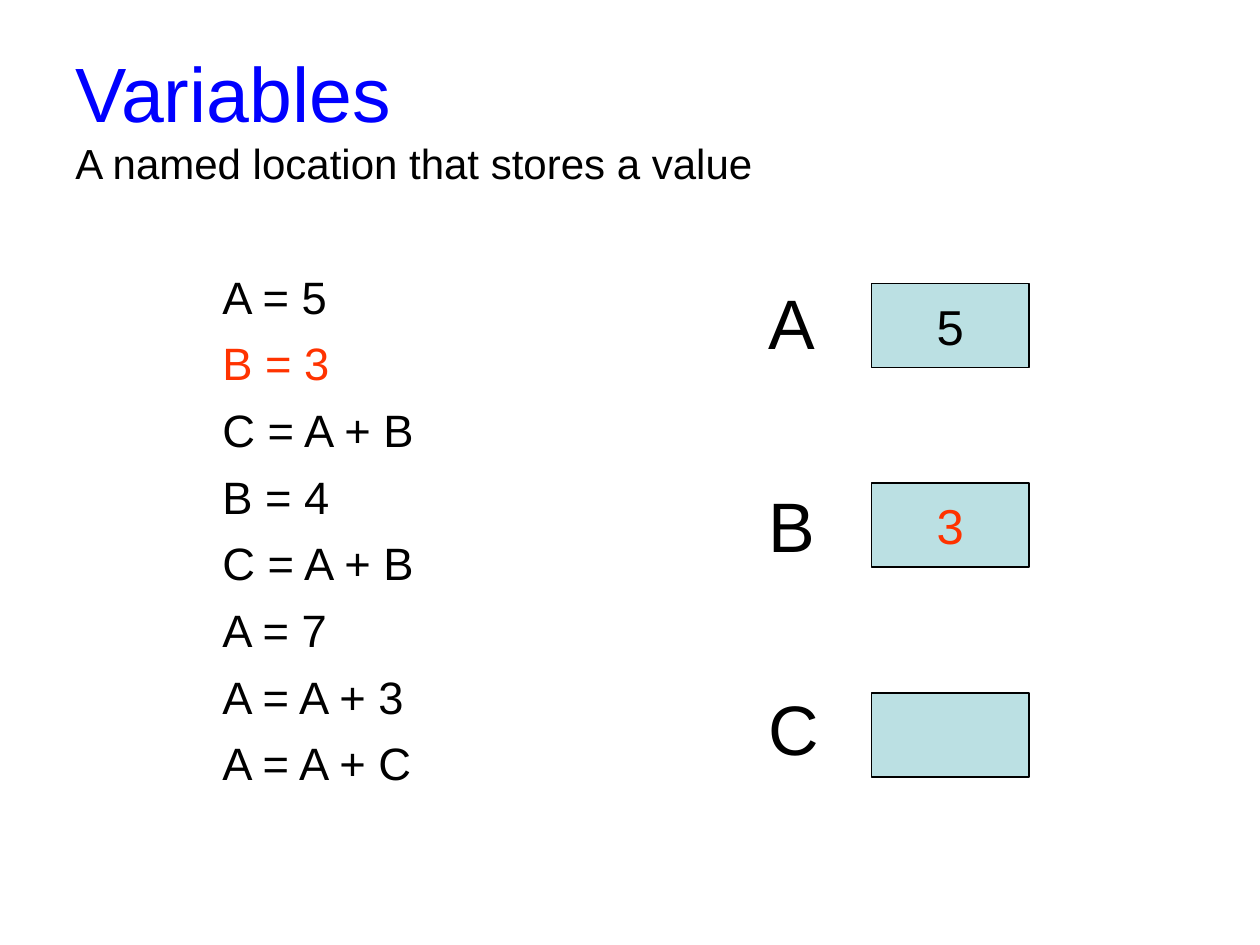
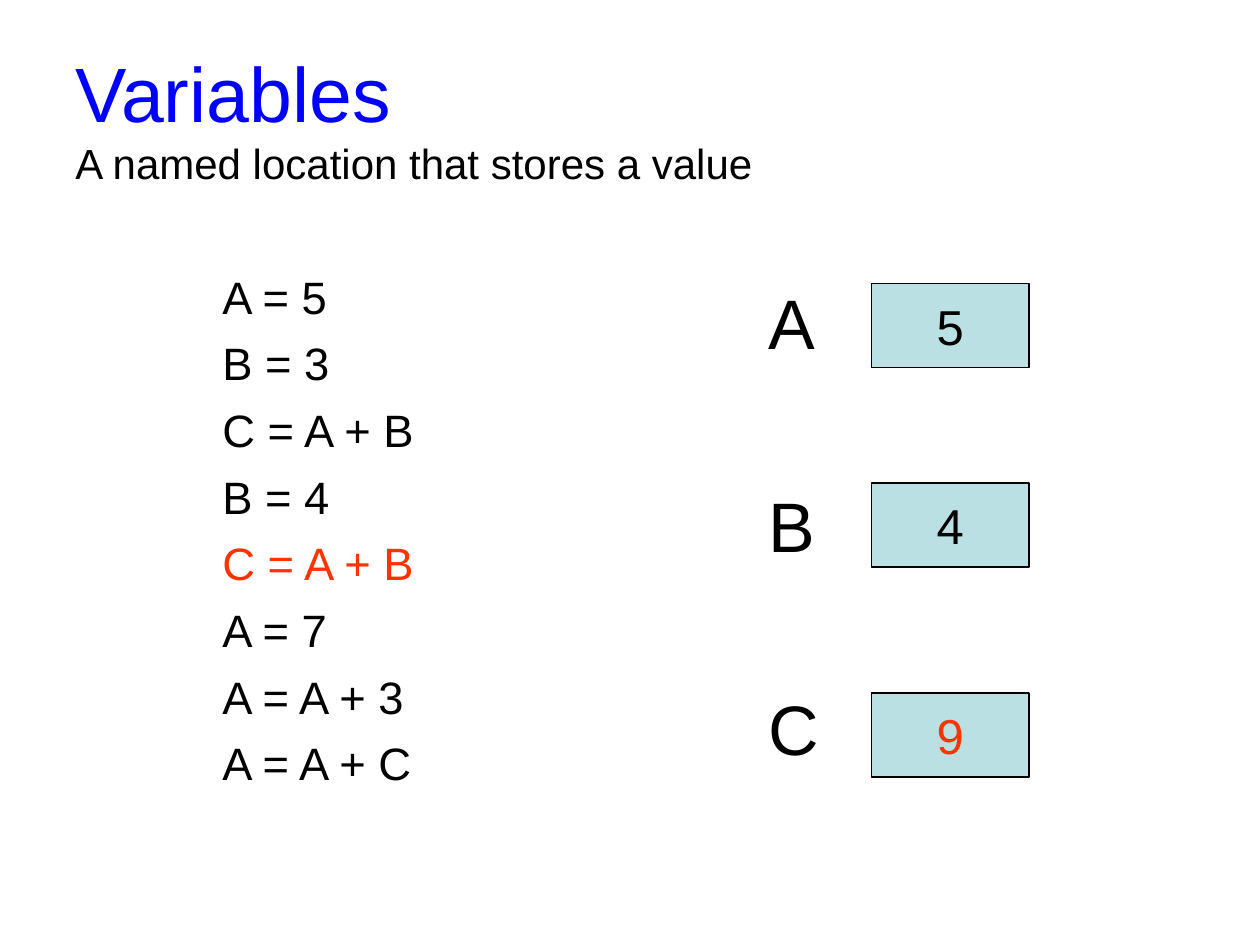
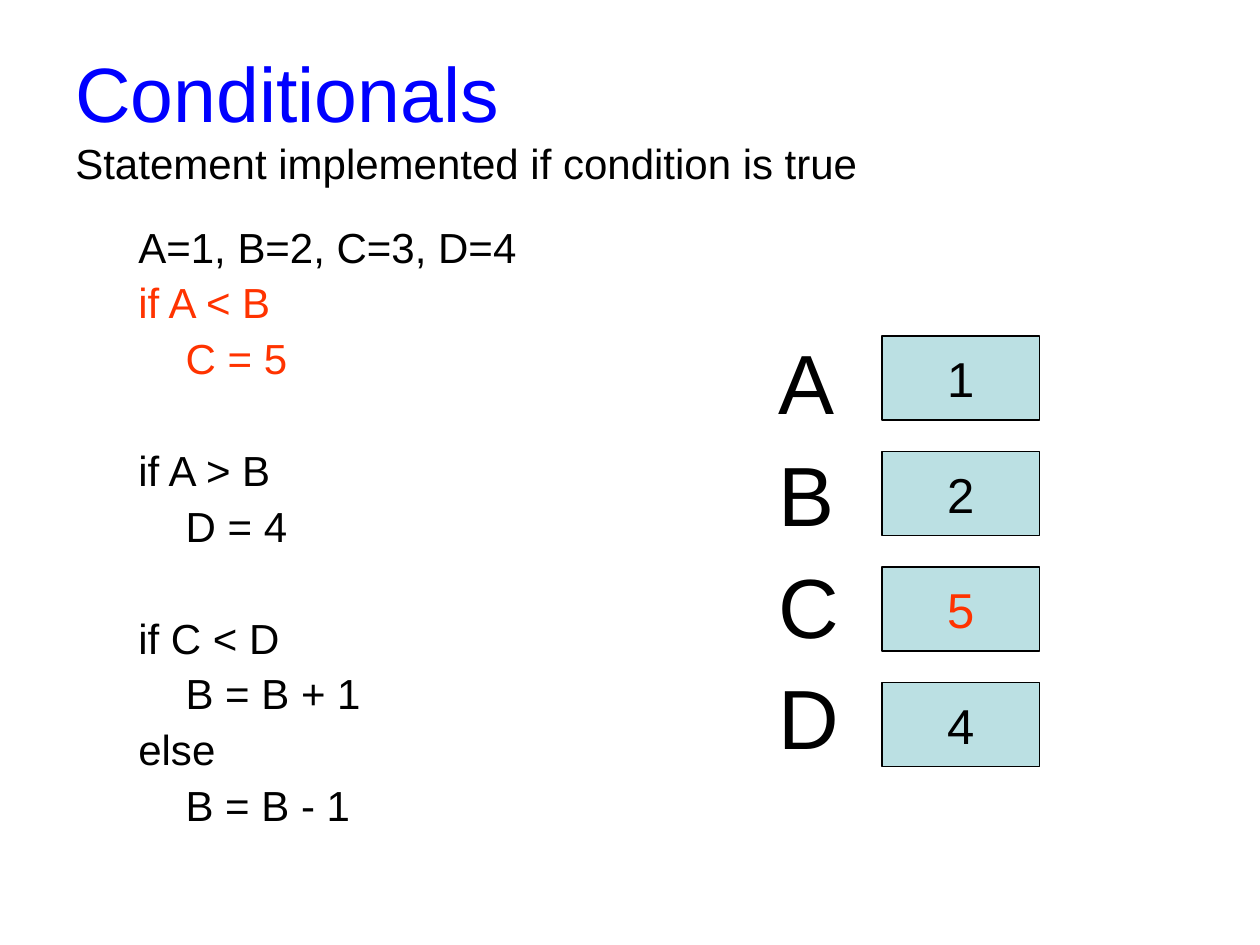
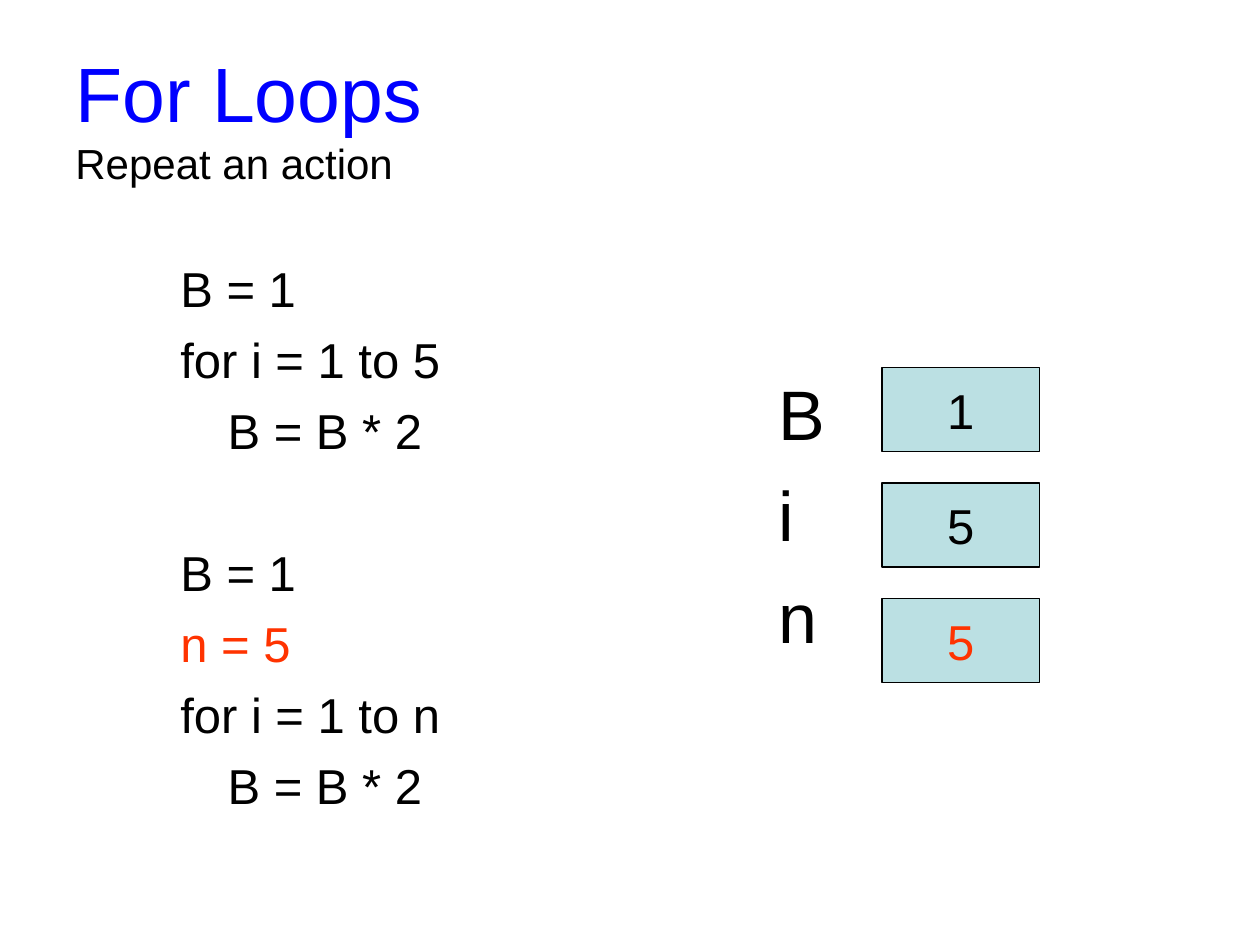
from pptx import Presentation
from pptx.dml.color import RGBColor
from pptx.enum import shapes, text
from pptx.util import Pt

FONT = "Arial"
BLUE = RGBColor(0x00, 0x00, 0xFF)
BLACK = RGBColor(0x00, 0x00, 0x00)
RED = RGBColor(0xFF, 0x33, 0x00)
PALE_TEAL = RGBColor(0xBB, 0xE0, 0xE3)

# In code and labels, "" is a one-line gap and a leading tab is one indent step.
# Each "active" entry is shown in red: code by line number, cells by name.
VARIABLES = dict(
    title="Variables",
    subtitle="A named location that stores a value",
    code=["A = 5", "B = 3", "C = A + B", "B = 4", "C = A + B", "A = 7", "A = A + 3", "A = A + C"],
    code_area=(84, 150, 246, 312),
    code_style=dict(size=25.9, before=7, indent=36),
    labels=["A", "", "B", "", "C"],
    labels_area=(432, 156, 252, 294),
    labels_style=dict(size=40, before=10),
    cell_tops=[162, 276, 396],
)
SLIDES = [
    dict(VARIABLES, cells={"A": "5", "B": "3", "C": ""}, active_lines={1}, active_cell="B"),
    dict(VARIABLES, cells={"A": "5", "B": "4", "C": "9"}, active_lines={4}, active_cell="C"),
    dict(
        title="Conditionals",
        subtitle="Statement implemented if condition is true",
        code=["A=1, B=2, C=3, D=4", "if A < B", "\tC = 5", "", "if A > B", "\tD = 4", "",
              "if C < D", "\tB = B + 1", "else", "\tB = B - 1"],
        code_area=(72, 126, 294, 372),
        code_style=dict(size=24, before=6, spacing=0.9),
        labels=["A", "B", "C", "D"],
        labels_area=(438, 192, 252, 294),
        labels_style=dict(size=48, before=12, spacing=0.9),
        cell_tops=[192 + 66 * row for row in range(4)],
        cells={"A": "1", "B": "2", "C": "5", "D": "4"},
        active_lines={1, 2},
        active_cell="C",
    ),
    dict(
        title="For Loops",
        subtitle="Repeat an action",
        code=["B = 1", "for i = 1 to 5", "\tB = B * 2", "", "B = 1", "n = 5",
              "for i = 1 to n", "\tB = B * 2"],
        code_area=(96, 144, 294, 372),
        code_style=dict(size=28, before=7),
        labels=["", "B", "i", "n"],
        labels_area=(438, 150, 252, 294),
        labels_style=dict(size=40, before=10),
        cell_tops=[210 + 66 * row for row in range(3)],
        cells={"B": "1", "i": "5", "n": "5"},
        active_lines={5},
        active_cell="n",
    ),
]

TITLE_AREA = (36, 21.6, 648, 90)
CELL_OFFSET, CELL_WIDTH, CELL_HEIGHT = 66, 90, 48
INDENT_STEP = 27
LINE_HEIGHT = 1.2
TOP_INSET = 3.6


def add_span(para, words, size, color):
    span = para.add_run()
    span.text = words
    for name, value in dict(name=FONT, size=Pt(size)).items():
        setattr(span.font, name, value)
    span.font.color.rgb = color


def add_frame(page, area):
    frame = page.shapes.add_textbox(*map(Pt, area)).text_frame
    frame.word_wrap = True
    return frame


def add_title(page, title, subtitle):
    frame = add_frame(page, TITLE_AREA)
    frame.vertical_anchor = text.MSO_ANCHOR.MIDDLE
    para = frame.paragraphs[0]
    add_span(para, title, 44, BLUE)
    para.add_line_break()
    add_span(para, subtitle, 24, BLACK)


def add_lines(page, area, lines, size, before, spacing=1.0, indent=0, active=()):
    frame = add_frame(page, area)
    pitch = size * LINE_HEIGHT * spacing + before
    gap, para = 0, None
    for number, line in enumerate(lines):
        if not line:
            gap += pitch
            continue
        if para is None:
            para = frame.paragraphs[0]
            frame.margin_top = Pt(TOP_INSET + gap)
        else:
            para = frame.add_paragraph()
            para.space_before = Pt(before + gap)
        gap = 0
        para.line_spacing = spacing
        left = indent + INDENT_STEP * line.count("\t")
        para._p.get_or_add_pPr().set("marL", str(Pt(left)))
        add_span(para, line.strip(), size, RED if number in active else BLACK)


def add_cell(page, left, top, value, color):
    box = page.shapes.add_shape(
        shapes.MSO_SHAPE.RECTANGLE, Pt(left), Pt(top), Pt(CELL_WIDTH), Pt(CELL_HEIGHT))
    box.shadow.inherit = False
    box.fill.solid()
    box.fill.fore_color.rgb = PALE_TEAL
    box.line.color.rgb = BLACK
    box.line.width = Pt(0.75)
    if value:
        frame = box.text_frame
        frame.word_wrap = False
        frame.vertical_anchor = text.MSO_ANCHOR.MIDDLE
        frame.paragraphs[0].alignment = text.PP_ALIGN.CENTER
        add_span(frame.paragraphs[0], value, 28, color)


def main():
    deck = Presentation()
    deck.slide_width, deck.slide_height = Pt(720), Pt(540)
    for slide in SLIDES:
        page = deck.slides.add_slide(deck.slide_layouts[6])
        add_title(page, slide["title"], slide["subtitle"])
        add_lines(page, slide["code_area"], slide["code"],
                  active=slide["active_lines"], **slide["code_style"])
        add_lines(page, slide["labels_area"], slide["labels"], **slide["labels_style"])
        left = slide["labels_area"][0] + CELL_OFFSET
        for top, (name, value) in zip(slide["cell_tops"], slide["cells"].items()):
            add_cell(page, left, top, value, RED if name == slide["active_cell"] else BLACK)
    deck.save("out.pptx")


if __name__ == "__main__":
    main()
